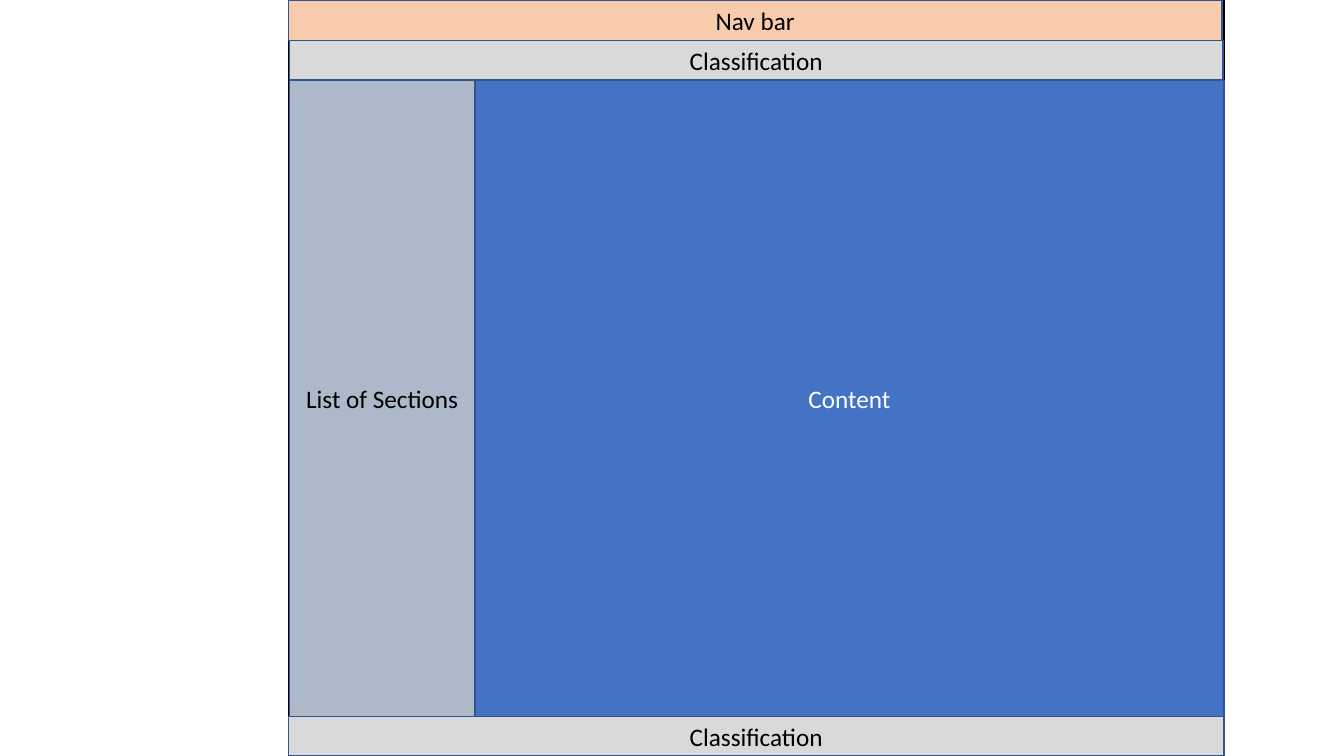
import dataclasses
import pptx
import pptx.dml.color
import pptx.enum.shapes
import pptx.enum.text
import pptx.util


@dataclasses.dataclass(frozen=True)
class Theme:
    font: str = "Calibri"
    text_size: float = 18
    line_width: float = 1
    dark: str = "000000"
    light: str = "FFFFFF"
    outline: str = "325491"
    classification: str = "D9D9D9"
    sections: str = "ADB9CA"
    navigation: str = "F8CBAD"
    content: str = "4472C4"


@dataclasses.dataclass(frozen=True)
class Box:
    left: float
    top: float
    width: float
    height: float

    def inner_box(self, left, top, width, height):
        return Box(self.left + left, self.top + top, width, height)


THEME = Theme()
SLIDE_WIDTH, SLIDE_HEIGHT = 13.33, 7.5
PAGE = Box(2.86, 0, 9.28, SLIDE_HEIGHT)
BAR_HEIGHT = 0.4
BAND_HEIGHT = 0.39
SIDEBAR_WIDTH = 1.84
INSET = 0.01


def write_text(shape, text, color=THEME.dark, size=THEME.text_size):
    frame = shape.text_frame
    frame.word_wrap = True
    frame.vertical_anchor = pptx.enum.text.MSO_ANCHOR.MIDDLE
    paragraph = frame.paragraphs[0]
    paragraph.alignment = pptx.enum.text.PP_ALIGN.CENTER
    run = paragraph.add_run()
    run.text = text
    run.font.name = THEME.font
    run.font.size = pptx.util.Pt(size)
    run.font.color.rgb = pptx.dml.color.RGBColor.from_string(color)


def add_panel(slide, box, fill, outline=THEME.outline):
    shape = slide.shapes.add_shape(
        pptx.enum.shapes.MSO_SHAPE.RECTANGLE,
        *(pptx.util.Inches(length) for length in dataclasses.astuple(box)),
    )
    shape.shadow.inherit = False
    shape.fill.solid()
    shape.fill.fore_color.rgb = pptx.dml.color.RGBColor.from_string(fill)
    shape.line.color.rgb = pptx.dml.color.RGBColor.from_string(outline)
    shape.line.width = pptx.util.Pt(THEME.line_width)
    return shape


def add_classification(slide, box):
    write_text(add_panel(slide, box, THEME.classification), "Classification")


def add_sections(slide, box):
    write_text(add_panel(slide, box, THEME.sections), "List of Sections")


def add_navigation(slide, box):
    write_text(add_panel(slide, box, THEME.navigation), "Nav bar")


def add_content(slide, box):
    write_text(add_panel(slide, box, THEME.content), "Content", color=THEME.light)


def add_page_layout(slide, page):
    body_top = 2 * BAR_HEIGHT
    footer_top = page.height - BAND_HEIGHT
    body_height = footer_top - body_top
    content_left = INSET + SIDEBAR_WIDTH
    content_width = page.width - content_left
    bar_width = page.width - 2 * INSET

    add_panel(slide, page, THEME.light, outline=THEME.dark)
    add_classification(slide, page.inner_box(INSET, BAR_HEIGHT, bar_width, BAND_HEIGHT))
    add_classification(slide, page.inner_box(0, footer_top, page.width, BAND_HEIGHT))
    add_sections(slide, page.inner_box(INSET, body_top, SIDEBAR_WIDTH, body_height))
    add_navigation(slide, page.inner_box(0, 0, bar_width, BAR_HEIGHT))
    add_content(slide, page.inner_box(content_left, body_top, content_width, body_height))


def main():
    presentation = pptx.Presentation()
    presentation.slide_width = pptx.util.Inches(SLIDE_WIDTH)
    presentation.slide_height = pptx.util.Inches(SLIDE_HEIGHT)
    slide = presentation.slides.add_slide(presentation.slide_layouts[6])
    add_page_layout(slide, PAGE)
    presentation.save("out.pptx")


if __name__ == "__main__":
    main()
